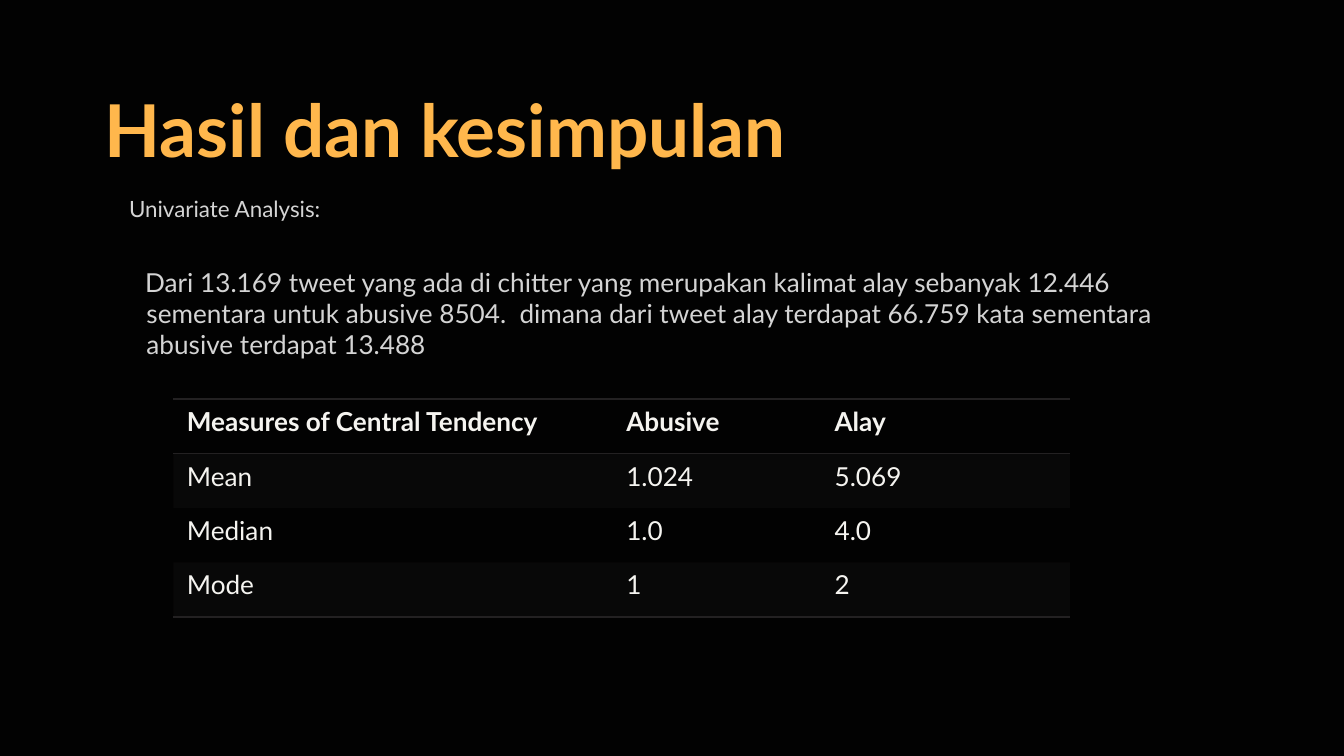
from lxml import etree
from pptx import Presentation
from pptx.dml.color import RGBColor
from pptx.enum import text
from pptx.oxml.ns import qn
from pptx.util import Inches, Pt

FONT = "Lato"
BACK, GOLD, GREY, PALE, DARK = "020202", "FFB74C", "D4D4D4", "F5F4F0", "232122"
PLAIN = "{2D5ABB26-0587-4C30-8999-92F81FD0307C}"  # table style without grid
WIDTHS = [3.27, 1.55, 1.85]
HEIGHT = 1.62
ROWS = [
    ["Measures of Central Tendency", "Abusive", "Alay"],
    ["Mean", "1.024", "5.069"],
    ["Median", "1.0", "4.0"],
    ["Mode", "1", "2"],
]
SUMMARY = (
    "Dari 13.169 tweet yang ada di chitter yang merupakan kalimat alay "
    "sebanyak 12.446 sementara untuk abusive 8504.  dimana dari tweet alay "
    "terdapat 66.759 kata sementara abusive terdapat 13.488"
)


def paint(fill, color):
    fill.solid()
    fill.fore_color.rgb = RGBColor.from_string(color)


def style(para, size, color, bold=False):
    for run in para.runs:
        font = run.font
        font.name, font.size, font.bold = FONT, Pt(size), bold
        font.color.rgb = RGBColor.from_string(color)


def write(shape, box, words, size, color, bold=False, left=0, first=0,
          anchor=text.MSO_ANCHOR.TOP):
    """Place a text shape without insets and fill it with one paragraph."""
    shape.left, shape.top, shape.width, shape.height = map(Inches, box)
    frame = shape.text_frame
    frame.text = words
    frame.word_wrap = True
    frame.auto_size = text.MSO_AUTO_SIZE.NONE
    frame.vertical_anchor = anchor
    frame.margin_left = frame.margin_right = 0
    frame.margin_top = frame.margin_bottom = 0
    para = frame.paragraphs[0]
    para.alignment = text.PP_ALIGN.LEFT
    para.space_before = Pt(0)
    style(para, size, color, bold)
    props = para._p.get_or_add_pPr()
    props.set("marL", str(Inches(left)))
    props.set("indent", str(Inches(first)))
    etree.SubElement(props, qn("a:buNone"))


def tint(cell):
    """Fill a cell with the dark tone at 20 % opacity."""
    paint(cell.fill, DARK)
    tone = cell._tc.tcPr.find(".//" + qn("a:srgbClr"))
    etree.SubElement(tone, qn("a:alpha"), val="20000")


def border(cell, sides):
    for place, side in enumerate(sides):
        line = etree.Element(qn("a:ln" + side), w=str(Pt(1)))
        solid = etree.SubElement(line, qn("a:solidFill"))
        etree.SubElement(solid, qn("a:srgbClr"), val=DARK)
        cell._tc.get_or_add_tcPr().insert(place, line)


def add_grid(slide):
    frame = slide.shapes.add_table(
        len(ROWS), len(WIDTHS), Inches(1.29), Inches(2.97),
        Inches(sum(WIDTHS)), Inches(HEIGHT))
    table = frame.table
    table._tbl.tblPr.find(qn("a:tableStyleId")).text = PLAIN
    for col, width in zip(table.columns, WIDTHS):
        col.width = Inches(width)
    sides = {0: "TB", len(ROWS) - 1: "B"}
    for r, words in enumerate(ROWS):
        table.rows[r].height = Inches(HEIGHT / len(ROWS))
        for c, word in enumerate(words):
            cell = table.cell(r, c)
            cell.text = word
            style(cell.text_frame.paragraphs[0], 14, PALE, bold=r == 0)
            if r % 2:
                tint(cell)
            else:
                cell.fill.background()
            border(cell, sides.get(r, ""))


def main():
    deck = Presentation()
    deck.slide_width, deck.slide_height = Inches(10), Inches(10 * 9 / 16)
    slide = deck.slides.add_slide(deck.slide_layouts[1])
    paint(slide.background.fill, BACK)
    title, body = slide.placeholders
    write(title, (0.78, 0.65, 8.44, 0.63), "Hasil dan kesimpulan",
          39, GOLD, bold=True, anchor=text.MSO_ANCHOR.BOTTOM)
    write(body, (0.82, 1.45, 8.4, 0.38), "Univariate Analysis:",
          12, GREY, left=0.5, first=-0.36)
    note = slide.shapes.add_textbox(0, 0, 0, 0)
    write(note, (0.59, 1.98, 8.4, 2.74), SUMMARY, 14, GREY,
          left=0.5, first=-0.01)
    add_grid(slide)
    deck.save("out.pptx")


if __name__ == "__main__":
    main()
